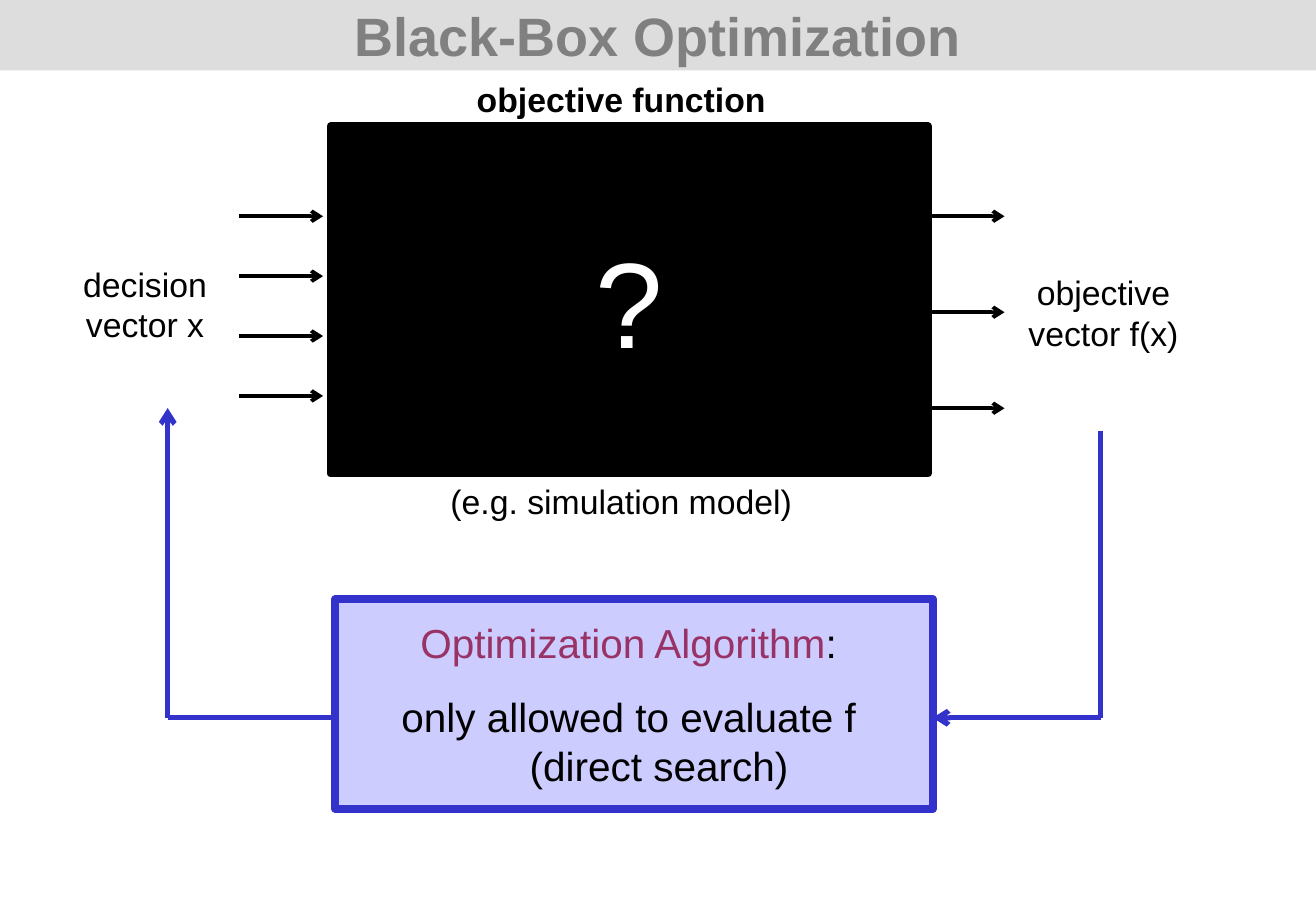
"""Build the Black-Box Optimization slide."""
from lxml import etree
from pptx import Presentation
from pptx.dml.color import RGBColor
from pptx.enum.shapes import MSO_CONNECTOR, MSO_SHAPE
from pptx.enum.text import MSO_ANCHOR, PP_ALIGN
from pptx.oxml.ns import qn
from pptx.util import Pt

RECT = MSO_SHAPE.RECTANGLE
STRAIGHT = MSO_CONNECTOR.STRAIGHT
CENTER = PP_ALIGN.CENTER
MIDDLE, TOP = MSO_ANCHOR.MIDDLE, MSO_ANCHOR.TOP

BLACK = RGBColor(0x00, 0x00, 0x00)
WHITE = RGBColor(0xFF, 0xFF, 0xFF)
LIGHT_GRAY = RGBColor(0xDD, 0xDD, 0xDD)
GRAY = RGBColor(0x80, 0x80, 0x80)
BLUE = RGBColor(0x33, 0x33, 0xCC)
LAVENDER = RGBColor(0xCC, 0xCC, 0xFF)
PLUM = RGBColor(0x99, 0x33, 0x66)

WIDTH, HEIGHT = 780, 540
TITLE = "Black-Box Optimization"
LABELS = [
    ("objective function", (212.4, 43.2, 311.8, 31.7), True),
    ("(e.g. simulation model)", (212.4, 281.5, 311.8, 31.7), False),
    ("decision vector x", (15.8, 152.6, 140.4, 55.4), False),
    ("objective vector f(x)", (594, 157.7, 120.2, 55.4), False),
]
ALGORITHM = [
    [("Optimization Algorithm", PLUM), (":", BLACK)],
    [("only allowed to evaluate f (direct search)", BLACK)],
]

TITLE_BAR = (0, 0, WIDTH, 41.8)
BLACK_BOX = (195.8, 74.9, 354.2, 205.9)
ALGORITHM_BOX = (198.7, 355, 354.2, 124.6)
ALGORITHM_TEXT = (205.9, 362.9, 333.4, 108.7)
FIRST_ARROW_Y = 128.2
INPUTS = (4, 35.5, 141.8, 191.5)
OUTPUTS = (3, 56.9, 545.8, 595.4)
LOOP_Y, LOOP_LEFT, LOOP_RIGHT = 425.5, 99.4, 652.3
DECISION_Y, OBJECTIVE_Y = 241.9, 255.6

prs = Presentation()
prs.slide_width, prs.slide_height = Pt(WIDTH), Pt(HEIGHT)
s = prs.slides.add_slide(prs.slide_layouts[6])


def add_box(box, fill, line=None):
    sp = s.shapes.add_shape(RECT, *map(Pt, box))
    sp.shadow.inherit = False
    sp.fill.solid()
    sp.fill.fore_color.rgb = fill
    if line is None:
        sp.line.fill.background()
    else:
        sp.line.color.rgb = line
        sp.line.width = Pt(4.5)
    return sp


def write(sp, text, size, color, bold=False, anchor=MIDDLE, wrap=True):
    tf = sp.text_frame
    tf.word_wrap = wrap
    tf.vertical_anchor = anchor
    p = tf.paragraphs[0]
    p.text = text
    p.alignment = CENTER
    style(p.font, size, color, bold)


def style(font, size, color=None, bold=False):
    font.name = "Arial"
    font.size = Pt(size)
    font.bold = bold
    if color is not None:
        font.color.rgb = color


def add_line(x1, y1, x2, y2, color, width, arrow=True):
    c = s.shapes.add_connector(STRAIGHT, Pt(x1), Pt(y1), Pt(x2), Pt(y2))
    c.line.color.rgb = color
    c.line.width = Pt(width)
    if arrow:
        ln = c.line._get_or_add_ln()
        etree.SubElement(ln, qn("a:tailEnd"), type="arrow")
    etree.SubElement(c._element.spPr, qn("a:effectLst"))


write(add_box(TITLE_BAR, LIGHT_GRAY), TITLE, 32, GRAY, bold=True)
write(add_box(BLACK_BOX, BLACK, BLACK), "?", 72, WHITE, wrap=False)
add_box(ALGORITHM_BOX, LAVENDER, BLUE)

for count, step, x1, x2 in (INPUTS, OUTPUTS):
    for i in range(count):
        y = FIRST_ARROW_Y + i * step
        add_line(x1, y, x2, y, BLACK, 2.25)

box_left = ALGORITHM_BOX[0]
box_right = box_left + ALGORITHM_BOX[2]
add_line(box_left, LOOP_Y, LOOP_LEFT, LOOP_Y, BLUE, 3, arrow=False)
add_line(LOOP_LEFT, LOOP_Y, LOOP_LEFT, DECISION_Y, BLUE, 3)
add_line(LOOP_RIGHT, OBJECTIVE_Y, LOOP_RIGHT, LOOP_Y, BLUE, 3, arrow=False)
add_line(LOOP_RIGHT, LOOP_Y, box_right, LOOP_Y, BLUE, 3)

for text, box, bold in LABELS:
    write(s.shapes.add_textbox(*map(Pt, box)), text, 20, BLACK, bold, TOP)

tf = s.shapes.add_textbox(*map(Pt, ALGORITHM_TEXT)).text_frame
tf.word_wrap = True
for i, runs in enumerate(ALGORITHM):
    p = tf.add_paragraph() if i else tf.paragraphs[0]
    p.alignment = CENTER
    if i:
        p.space_before = Pt(15)
    pPr = p._p.get_or_add_pPr()
    pPr.set("marL", str(Pt(36)))
    pPr.set("indent", str(Pt(-36)))
    style(p.font, 24)
    for text, color in runs:
        r = p.add_run()
        r.text = text
        r.font.color.rgb = color

prs.save("out.pptx")
